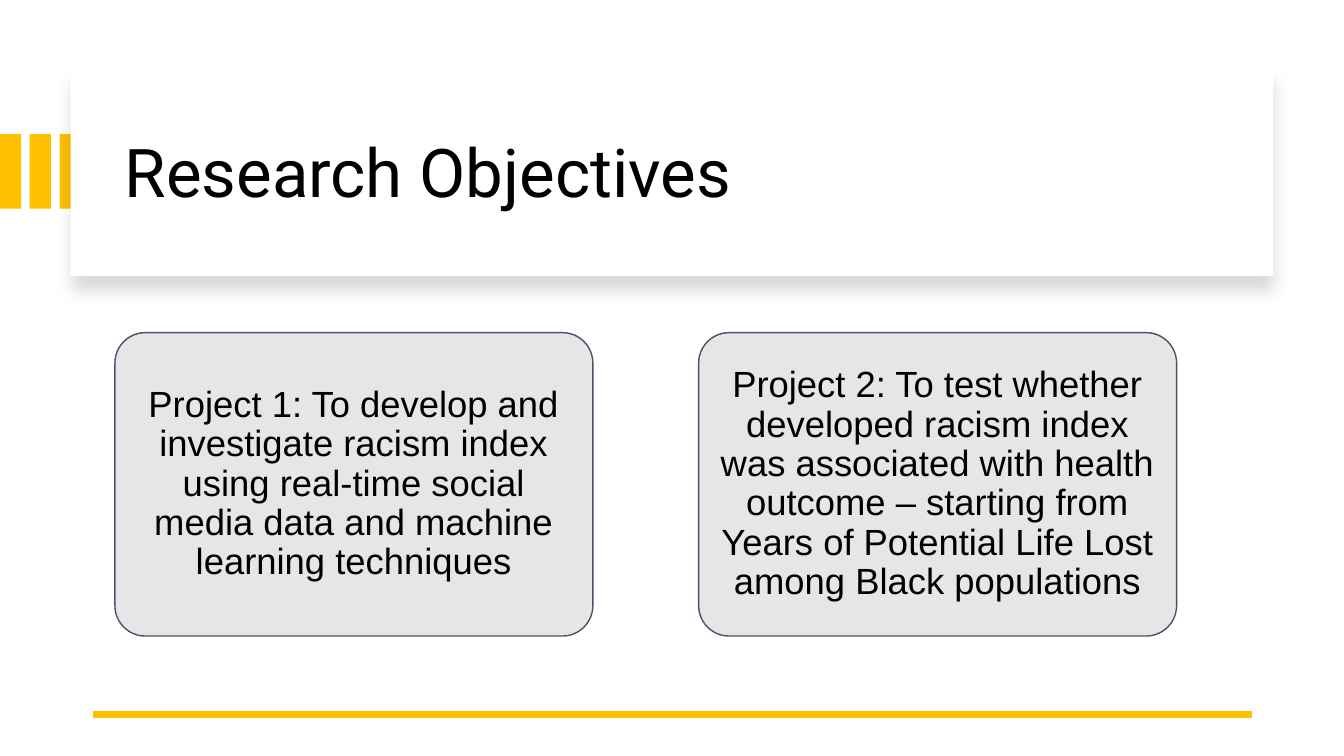
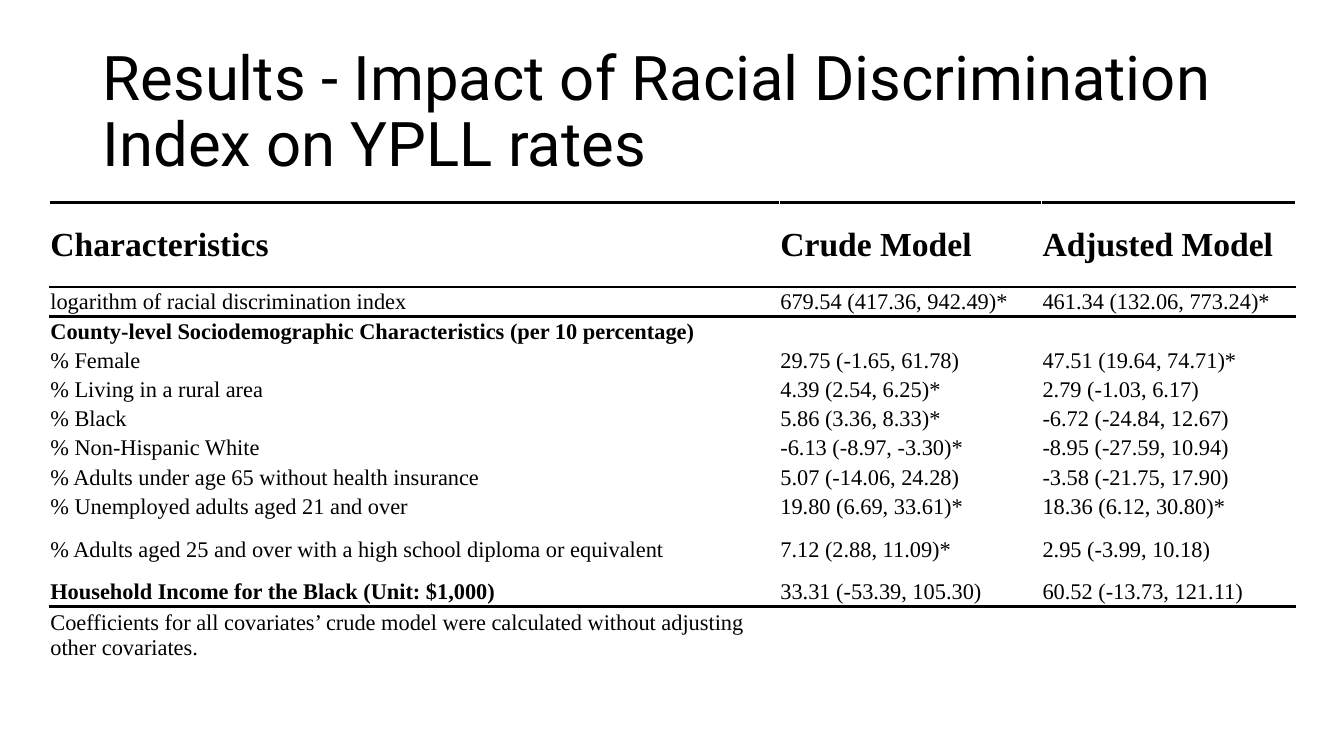
from lxml.etree import SubElement
from pptx import Presentation
from pptx.dml.color import RGBColor
from pptx.enum.shapes import MSO_CONNECTOR, MSO_SHAPE
from pptx.enum.text import MSO_ANCHOR, PP_ALIGN
from pptx.oxml.ns import qn
from pptx.util import Inches, Pt

COLORS = {"text": "000000", "accent": "FFC000", "panel": "FFFFFF",
          "card": "E7E6E6", "card_edge": "44546A"}
TITLE_FONT, CARD_FONT, TABLE_FONT = "Roboto", "Arial", "Times New Roman"

# Content
OBJECTIVES_TITLE = "Research Objectives"
OBJECTIVES = [
    "Project 1: To develop and investigate racism index using real-time social "
    "media data and machine learning techniques",
    "Project 2: To test whether developed racism index was associated with health "
    "outcome – starting from Years of Potential Life Lost among Black populations",
]
RESULTS_TITLE = "Results - Impact of Racial Discrimination Index on YPLL rates"
RESULTS = [
    ("Characteristics", "Crude Model", "Adjusted Model"),
    ("logarithm of racial discrimination index",
     "679.54 (417.36, 942.49)*", "461.34 (132.06, 773.24)*"),
    ("County-level Sociodemographic Characteristics (per 10 percentage)", "", ""),
    ("% Female", "29.75 (-1.65, 61.78)", "47.51 (19.64, 74.71)*"),
    ("% Living in a rural area", "4.39 (2.54, 6.25)*", "2.79 (-1.03, 6.17)"),
    ("% Black", "5.86 (3.36, 8.33)*", "-6.72 (-24.84, 12.67)"),
    ("% Non-Hispanic White", "-6.13 (-8.97, -3.30)*", "-8.95 (-27.59, 10.94)"),
    ("% Adults under age 65 without health insurance",
     "5.07 (-14.06, 24.28)", "-3.58 (-21.75, 17.90)"),
    ("% Unemployed adults aged 21 and over",
     "19.80 (6.69, 33.61)*", "18.36 (6.12, 30.80)*"),
    ("% Adults aged 25 and over with a high school diploma or equivalent",
     "7.12 (2.88, 11.09)*", "2.95 (-3.99, 10.18)"),
    ("Household Income for the Black (Unit: $1,000)",
     "33.31 (-53.39, 105.30)", "60.52 (-13.73, 121.11)"),
    ("Coefficients for all covariates’ crude model were calculated without "
     "adjusting other covariates.", "", ""),
]
HEADER_ROW, GROUP_ROW, INCOME_ROW = 0, 2, 10
BOLD_LABELS = {GROUP_ROW, INCOME_ROW}
RULES_BELOW = {HEADER_ROW, INCOME_ROW}
COLUMN_WIDTHS = (7.24, 2.6, 2.52)
ROW_HEIGHT = 0.29
TALL_ROWS = {HEADER_ROW: 0.84, 9: 0.56, 11: 0.56}


def rgb(name):
    return RGBColor.from_string(COLORS[name])


def style_text(paragraph, font, size, bold=False):
    for run in paragraph.runs:
        run.font.name, run.font.size, run.font.bold = font, Pt(size), bold
        run.font.color.rgb = rgb("text")


def add_block(slide, preset, box, fill, edge=None):
    block = slide.shapes.add_shape(preset, *map(Inches, box))
    block.shadow.inherit = False
    block.fill.solid()
    block.fill.fore_color.rgb = rgb(fill)
    if edge:
        block.line.color.rgb = rgb(edge)
        block.line.width = Pt(1)
    else:
        block.line.fill.background()
    return block


def add_title(slide, text, box, size):
    frame = slide.shapes.add_textbox(*map(Inches, box)).text_frame
    frame.word_wrap = True
    frame.vertical_anchor = MSO_ANCHOR.MIDDLE
    frame.text = text
    frame.paragraphs[0].line_spacing = 0.9
    style_text(frame.paragraphs[0], TITLE_FONT, size)


def add_soft_shadow(block):
    effects = block._element.spPr.find(qn("a:effectLst"))
    shadow = SubElement(effects, qn("a:outerShdw"), blurRad=str(Pt(11)),
                        dist=str(Pt(10)), dir="5400000", algn="t", rotWithShape="0")
    color = SubElement(shadow, qn("a:srgbClr"), val=COLORS["text"])
    SubElement(color, qn("a:alpha"), val="15000")


def add_rule(cell, side):
    rule = SubElement(cell._tc.get_or_add_tcPr(), qn(f"a:{side}"), w=str(Pt(2)))
    fill = SubElement(rule, qn("a:solidFill"))
    SubElement(fill, qn("a:srgbClr"), val=COLORS["text"])


def build_objectives(slide):
    # Accent bars, partly behind the title panel
    for i in range(3):
        add_block(slide, MSO_SHAPE.RECTANGLE, (0.59 * i / 2, 1.33, 0.21, 0.74), "accent")
    panel = add_block(slide, MSO_SHAPE.RECTANGLE, (0.7, 0.67, 11.93, 2.07), "panel")
    add_soft_shadow(panel)
    add_title(slide, OBJECTIVES_TITLE, (1.14, 0.89, 11.13, 1.7), 48)

    # Bottom line
    bottom_line = slide.shapes.add_connector(
        MSO_CONNECTOR.STRAIGHT, Inches(0.92), Inches(7.09), Inches(12.42), Inches(7.09))
    bottom_line.line.color.rgb = rgb("accent")
    bottom_line.line.width = Pt(4.5)
    SubElement(bottom_line._element.spPr, qn("a:effectLst"))

    # Project cards
    for i, objective in enumerate(OBJECTIVES):
        card = add_block(slide, MSO_SHAPE.ROUNDED_RECTANGLE,
                         (1.14 + 5.79 * i, 3.3, 4.74, 3.01), "card", "card_edge")
        card.adjustments[0] = 0.1
        frame = card.text_frame
        frame.word_wrap = True
        frame.vertical_anchor = MSO_ANCHOR.MIDDLE
        frame.margin_left = frame.margin_right = Inches(0.11)
        frame.margin_top = frame.margin_bottom = Inches(0.11)
        frame.text = objective
        paragraph = frame.paragraphs[0]
        paragraph.alignment = PP_ALIGN.CENTER
        paragraph.line_spacing = 0.9
        style_text(paragraph, CARD_FONT, 26)


def build_results(slide):
    add_title(slide, RESULTS_TITLE, (0.92, 0.4, 11.5, 1.45), 44)
    heights = [TALL_ROWS.get(r, ROW_HEIGHT) for r in range(len(RESULTS))]
    table = slide.shapes.add_table(
        len(RESULTS), len(COLUMN_WIDTHS), Inches(0.49), Inches(2.01),
        Inches(sum(COLUMN_WIDTHS)), Inches(sum(heights))).table
    table.first_row = table.horz_banding = False
    for column, width in zip(table.columns, COLUMN_WIDTHS):
        column.width = Inches(width)

    for r, (values, height) in enumerate(zip(RESULTS, heights)):
        table.rows[r].height = Inches(height)
        size = 24 if r == HEADER_ROW else 16
        for c, value in enumerate(values):
            cell = table.cell(r, c)
            cell.margin_left = cell.margin_right = cell.margin_top = Inches(0.01)
            cell.margin_bottom = 0
            cell.vertical_anchor = MSO_ANCHOR.MIDDLE
            cell.text = value
            paragraph = cell.text_frame.paragraphs[0]
            bold = r == HEADER_ROW or (c == 0 and r in BOLD_LABELS)
            style_text(paragraph, TABLE_FONT, size, bold)
            if not value:  # keeps empty cells from stretching the row
                SubElement(paragraph._p, qn("a:endParaRPr"), sz=str(size * 100))
            if r == HEADER_ROW or r - 1 in RULES_BELOW:
                add_rule(cell, "lnT")
            if r in RULES_BELOW:
                add_rule(cell, "lnB")
            cell.fill.background()


def main():
    deck = Presentation()
    deck.slide_width, deck.slide_height = Inches(13.33), Inches(7.5)
    for build in (build_objectives, build_results):
        build(deck.slides.add_slide(deck.slide_layouts[6]))
    deck.save("out.pptx")


if __name__ == "__main__":
    main()
